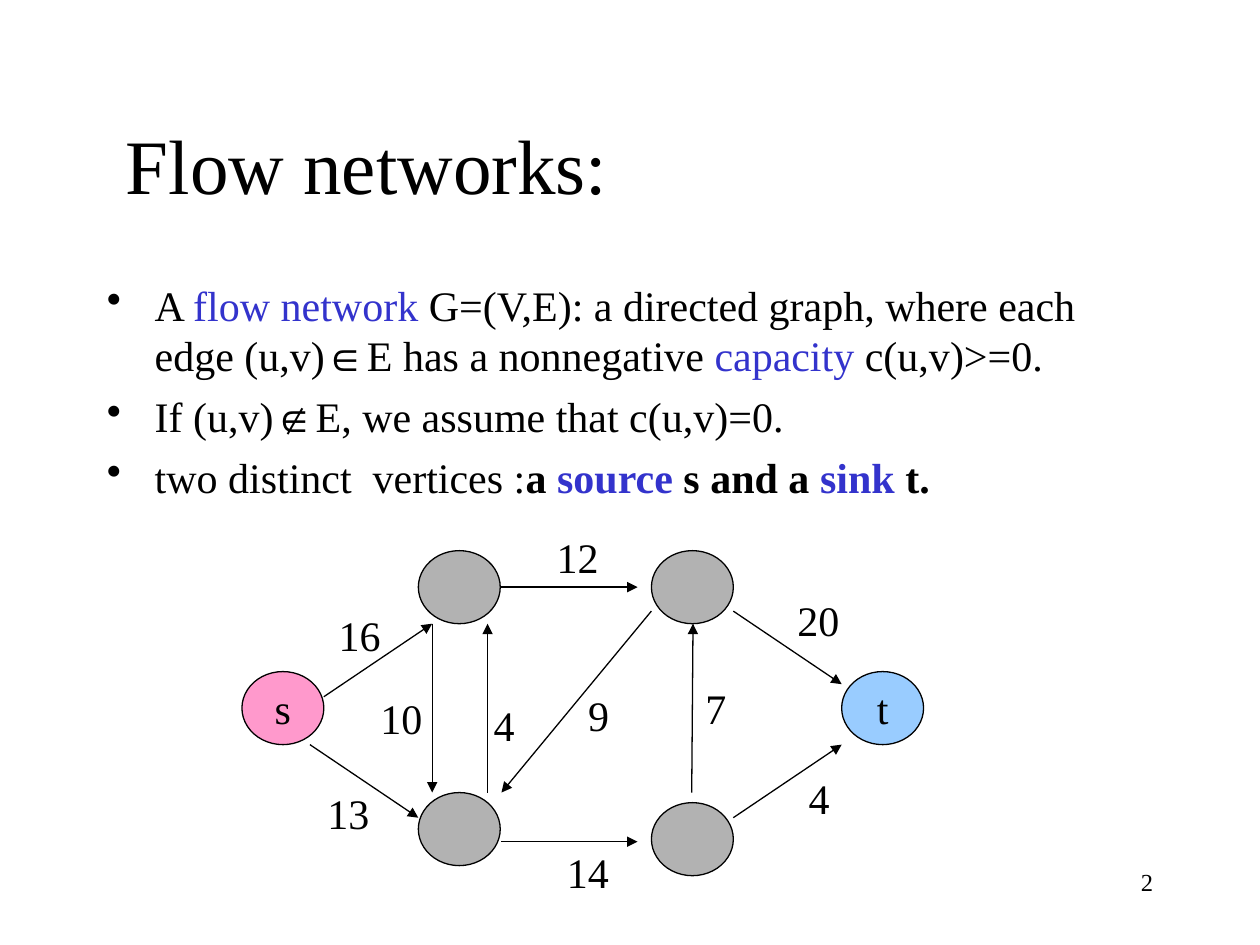
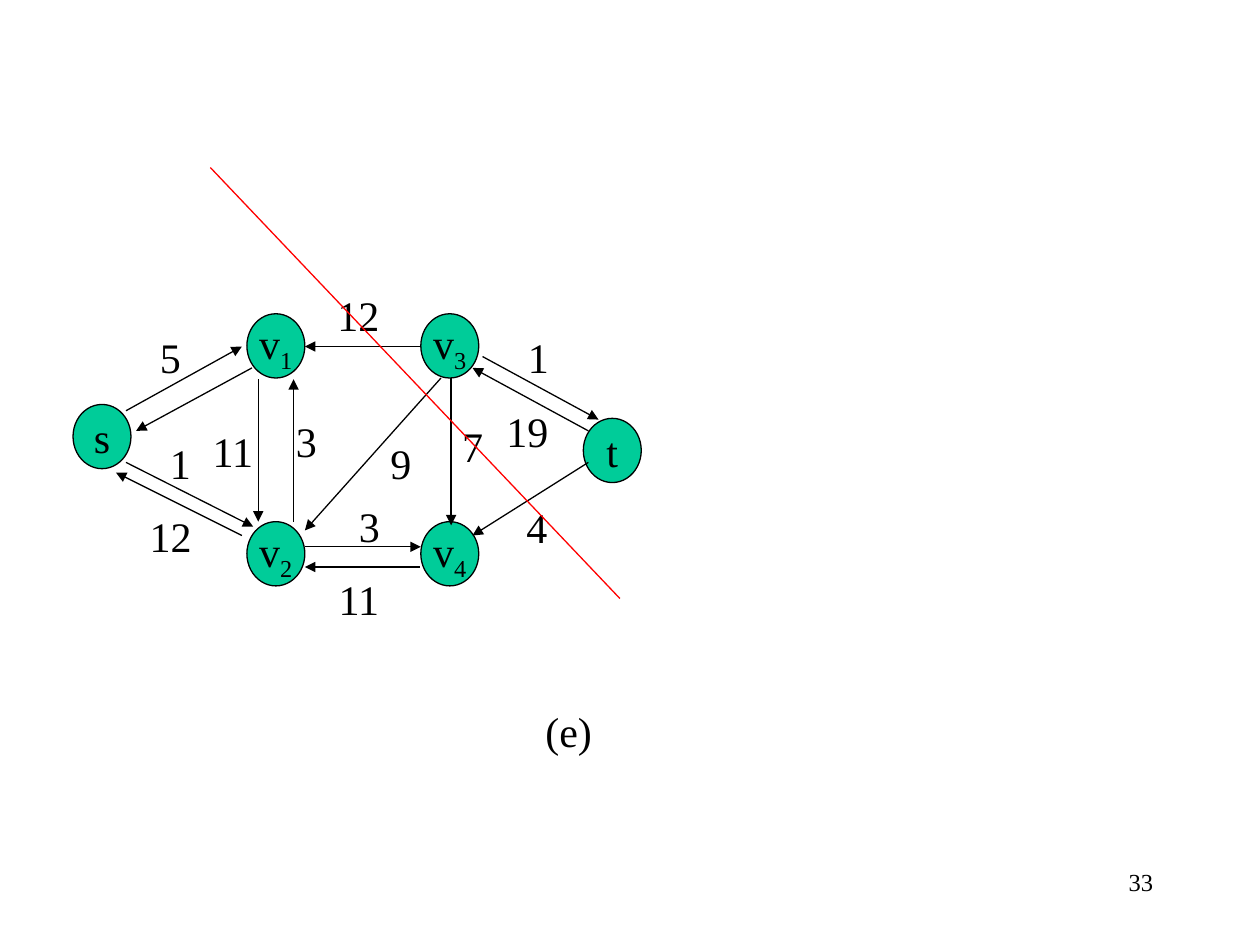
"""Build two flow network slides: the definition and a residual network with a cut."""
from lxml.etree import SubElement
from pptx import Presentation
from pptx.dml.color import RGBColor
from pptx.enum.shapes import MSO_CONNECTOR, MSO_SHAPE
from pptx.enum.text import MSO_ANCHOR, PP_ALIGN
from pptx.oxml.ns import qn
from pptx.util import Inches, Pt

COLORS = {
    "ink": "000000", "term": "3333CC", "cut": "FF0000", "source": "FF99CC",
    "sink": "99CCFF", "inner": "B2B2B2", "residual": "00CC99",
}
SERIF, SYMBOL = "Times New Roman", "Arial"
TEXT_SIZE, TITLE_SIZE, FOOTER_SIZE = 24, 44, 14
LINE_WIDTH = Pt(0.75)
DIGIT_WIDTH, INSET = 0.165, 0.1

STYLES = {
    "plain": {},
    "term": {"color": "term"},
    "symbol": {"face": SYMBOL},
    "strong": {"bold": True},
    "strong term": {"color": "term", "bold": True},
}

TITLE = "Flow networks:"
DEFINITION = [
    [("A ", "plain"), ("flow network", "term"),
     (" G=(V,E): a directed graph, where each edge (u,v)", "plain"), ("∈", "symbol"),
     ("E has a nonnegative ", "plain"), ("capacity", "term"), (" c(u,v)>=0.", "plain")],
    [("If (u,v)", "plain"), ("∉", "symbol"), ("E, we assume that c(u,v)=0.", "plain")],
    [("two distinct  vertices :", "plain"), ("a ", "strong"), ("source", "strong term"),
     (" s and a ", "strong"), ("sink", "strong term"), (" t.", "strong")],
]

# Vertices are (label, left, top, colour); edges are (start, end, capacity, capacity place).
CAPACITY_NETWORK = {
    "vertex size": (0.65, 0.58),
    "vertices": [
        ("s", 1.92, 5.33, "source"), ("", 3.32, 6.29, "inner"), ("", 5.17, 6.37, "inner"),
        ("t", 6.68, 5.33, "sink"), ("", 5.17, 4.37, "inner"), ("", 3.32, 4.37, "inner"),
    ],
    "edges": [
        ((2.57, 5.53), (3.43, 4.95), "16", (2.59, 4.79)),
        ((2.46, 5.91), (3.32, 6.49), "13", (2.5, 6.2)),
        ((3.43, 4.95), (3.43, 6.29), "10", (2.92, 5.45)),
        ((3.87, 6.29), (3.87, 4.95), "4", (3.82, 5.5)),
        ((3.98, 4.66), (5.06, 4.66), "12", (4.32, 4.17)),
        ((3.98, 6.68), (5.06, 6.68), "14", (4.4, 6.67)),
        ((5.82, 4.85), (6.68, 5.43), "20", (6.23, 4.67)),
        ((5.82, 6.49), (6.68, 5.91), "4", (6.32, 6.08)),
        ((5.49, 6.29), (5.5, 4.95), "7", (5.5, 5.37)),
        ((5.17, 4.85), (3.98, 6.29), "9", (4.57, 5.42)),
    ],
}
RESIDUAL_NETWORK = {
    "vertex size": (0.46, 0.51),
    "vertices": [
        ("s", 0.58, 3.21, "residual"), ("v2", 1.96, 4.14, "residual"),
        ("v4", 3.34, 4.14, "residual"), ("t", 4.63, 3.32, "residual"),
        ("v3", 3.34, 2.49, "residual"), ("v1", 1.96, 2.49, "residual"),
    ],
    "edges": [
        ((1, 3.26), (1.92, 2.75), "5", (1.17, 2.58)),
        ((2, 2.92), (1.08, 3.42), "", None),
        ((1, 3.67), (2.01, 4.18), "1", (1.25, 3.42)),
        ((1.92, 4.25), (0.92, 3.75), "12", (1.09, 4)),
        ((2.05, 3.01), (2.05, 4.14), "11", (1.59, 3.33)),
        ((2.33, 4.14), (2.33, 3.01), "3", (2.25, 3.25)),
        ((3.33, 2.75), (2.42, 2.75), "12", (2.58, 2.25)),
        ((3.5, 3), (2.42, 4.21), "9", (3, 3.42)),
        ((2.42, 4.34), (3.34, 4.34), "3", (2.75, 3.92)),
        ((3.33, 4.5), (2.42, 4.5), "11", (2.59, 4.5)),
        ((3.58, 3), (3.58, 4.17), "7", (3.57, 3.29)),
        ((3.83, 2.83), (4.75, 3.33), "1", (4.09, 2.58)),
        ((4.67, 3.42), (3.75, 2.92), "19", (3.92, 3.17)),
        ((4.67, 3.67), (3.75, 4.25), "4", (4.08, 3.93)),
    ],
}
CUT = ((1.67, 1.33), (4.92, 4.75))
CAPTION = ("(e)", 4.23, 5.55, 0.57)


def rgb(color):
    return RGBColor.from_string(COLORS[color])


def add_run(paragraph, text, size=TEXT_SIZE, color="ink", face=SERIF, bold=False):
    run = paragraph.add_run()
    run.text = text
    run.font.size, run.font.name, run.font.bold = Pt(size), face, bold
    run.font.color.rgb = rgb(color)
    return run


def add_frame(slide, left, top, width, height, wrap=True):
    frame = slide.shapes.add_textbox(*map(Inches, (left, top, width, height))).text_frame
    frame.word_wrap = wrap
    return frame


def add_label(slide, text, left, top, width):
    frame = add_frame(slide, left, top, width, 0.5, wrap=False)
    add_run(frame.paragraphs[0], text)


def add_line(slide, start, end, color="ink", arrow=True):
    line = slide.shapes.add_connector(MSO_CONNECTOR.STRAIGHT, *map(Inches, start + end))
    line.line.color.rgb, line.line.width = rgb(color), LINE_WIDTH
    if arrow:
        SubElement(line.line._get_or_add_ln(), qn("a:tailEnd"), type="triangle")
    SubElement(line._element.spPr, qn("a:effectLst"))


def add_vertex(slide, label, left, top, size, color):
    vertex = slide.shapes.add_shape(MSO_SHAPE.OVAL, *map(Inches, (left, top) + size))
    vertex.shadow.inherit = False
    vertex.fill.solid()
    vertex.fill.fore_color.rgb = rgb(color)
    vertex.line.color.rgb, vertex.line.width = rgb("ink"), LINE_WIDTH
    if label:
        frame = vertex.text_frame
        frame.word_wrap, frame.vertical_anchor = False, MSO_ANCHOR.MIDDLE
        paragraph = frame.paragraphs[0]
        paragraph.alignment = PP_ALIGN.CENTER
        add_run(paragraph, label[0])
        if label[1:]:
            index = add_run(paragraph, label[1:])
            index._r.get_or_add_rPr().set("baseline", "-25000")


def add_network(slide, network):
    for label, left, top, color in network["vertices"]:
        add_vertex(slide, label, left, top, network["vertex size"], color)
    for start, end, _, _ in network["edges"]:
        add_line(slide, start, end)
    for _, _, capacity, place in network["edges"]:
        if capacity:
            add_label(slide, capacity, *place, 2 * INSET + DIGIT_WIDTH * len(capacity))


def add_title(slide, text):
    frame = add_frame(slide, 0.75, 0.67, 8.5, 1.25)
    frame.vertical_anchor, frame.margin_left = MSO_ANCHOR.MIDDLE, Inches(0.25)
    add_run(frame.paragraphs[0], text, TITLE_SIZE)


def add_bullets(slide, items):
    frame = add_frame(slide, 0.75, 2.17, 8.5, 4.5)
    for number, item in enumerate(items):
        paragraph = frame.add_paragraph() if number else frame.paragraphs[0]
        if number:
            paragraph.space_before = Pt(6)
        properties = paragraph._p.get_or_add_pPr()
        properties.set("marL", str(Inches(0.38)))
        properties.set("indent", str(-Inches(0.38)))
        SubElement(properties, qn("a:buChar"), char="•")
        for text, style in item:
            add_run(paragraph, text, **STYLES[style])


def add_slide(deck, number):
    slide = deck.slides.add_slide(deck.slide_layouts[6])
    footer = add_frame(slide, 7.17, 6.83, 2.08, 0.5).paragraphs[0]
    footer.alignment = PP_ALIGN.RIGHT
    add_run(footer, str(number), FOOTER_SIZE)
    return slide


def main():
    deck = Presentation()
    deck.slide_width, deck.slide_height = Inches(10), Inches(7.5)

    definition = add_slide(deck, 2)
    add_title(definition, TITLE)
    add_bullets(definition, DEFINITION)
    add_network(definition, CAPACITY_NETWORK)

    residual = add_slide(deck, 33)
    add_network(residual, RESIDUAL_NETWORK)
    add_label(residual, *CAPTION)
    add_line(residual, *CUT, color="cut", arrow=False)

    deck.save("out.pptx")


if __name__ == "__main__":
    main()
